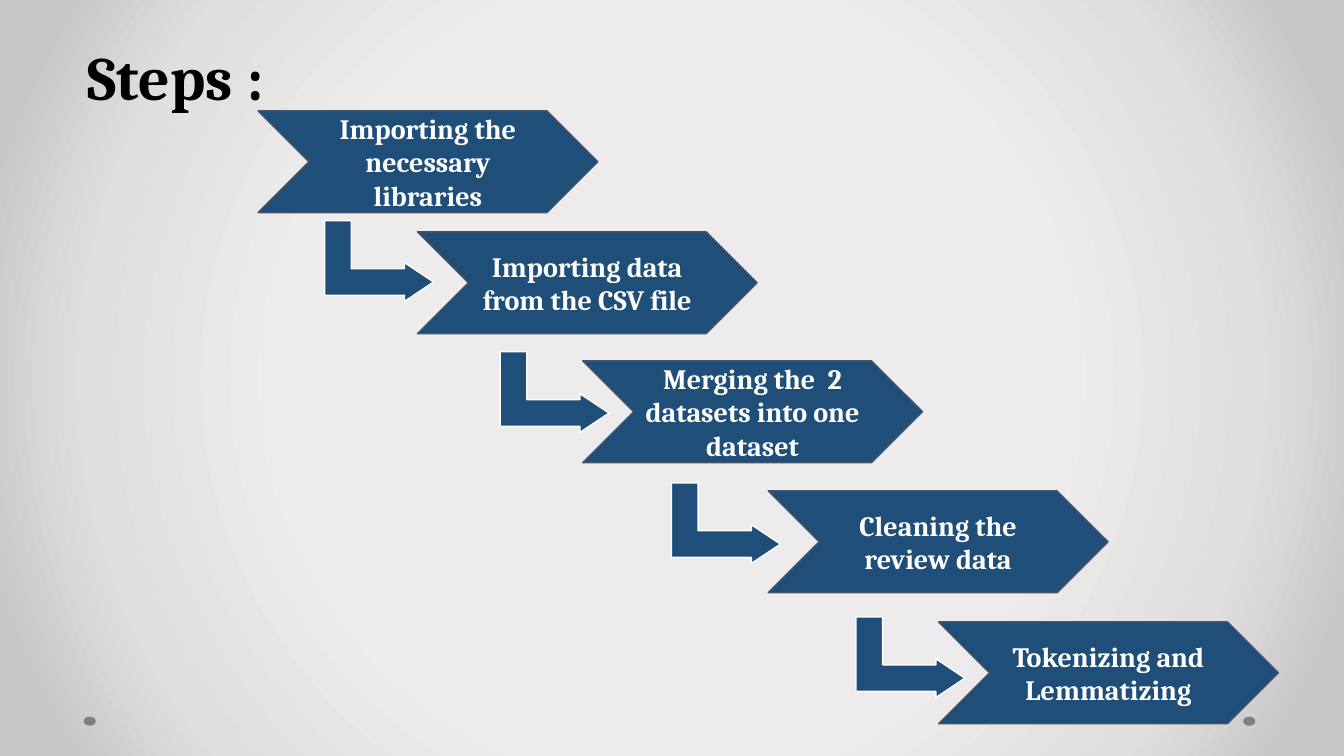
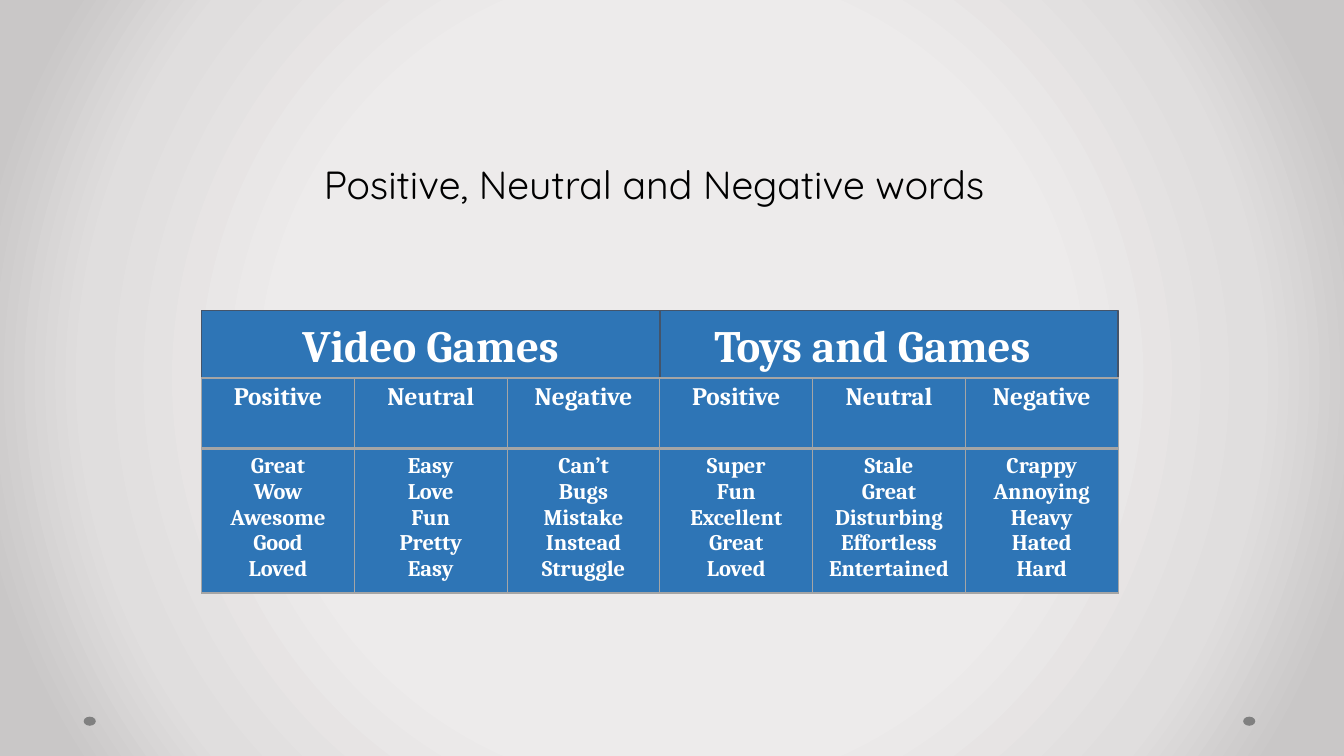
from dataclasses import dataclass

from pptx import Presentation
from pptx import util as u
from pptx.dml.color import RGBColor
from pptx.enum import shapes, text
from pptx.oxml import parse_xml
from pptx.oxml.ns import nsdecls, qn

ALIGN, ANCHOR, KIND = text.PP_ALIGN, text.MSO_ANCHOR, shapes.MSO_SHAPE


@dataclass(frozen=True)
class Theme:
    # Colours
    navy: str = "1F4E79"
    blue: str = "2E75B6"
    slate: str = "44546A"
    rule: str = "A5A5A5"
    dot: str = "808080"
    white: str = "FFFFFF"
    black: str = "000000"
    backdrop: tuple = ((50, "EDEBEB"), (76, "E0DEDE"), (92, "C9C7C7"))
    # Fonts and type sizes
    serif: str = "Cambria"
    sans: str = "Quicksand"
    heading: int = 44
    caption: int = 28
    band: int = 32
    step: int = 20
    column: int = 18
    word: int = 16


THEME = Theme()

# Text, chevron position, position of the elbow arrow leading to it
STEPS = [
    ("Importing the necessary libraries", (2.56, 1.1), None),
    ("Importing data from the CSV file", (4.14, 2.3), (3.36, 2.05)),
    ("Merging the  2 datasets into one dataset", (5.78, 3.58), (5.1, 3.35)),
    ("Cleaning the review data", (7.62, 4.87), (6.8, 4.65)),
    ("Tokenizing and Lemmatizing", (9.31, 6.17), (8.63, 5.98)),
]

WORDS = {
    "Video Games": {
        "Positive": ["Great", "Wow", "Awesome", "Good", "Loved"],
        "Neutral": ["Easy", "Love", "Fun", "Pretty", "Easy"],
        "Negative": ["Can’t", "Bugs", "Mistake", "Instead", "Struggle"],
    },
    "Toys and Games": {
        "Positive": ["Super", "Fun", "Excellent", "Great", "Loved"],
        "Neutral": ["Stale", "Great", "Disturbing", "Effortless", "Entertained"],
        "Negative": ["Crappy", "Annoying", "Heavy", "Hated", "Hard"],
    },
}


def apply(target, formats):
    for key, value in formats.items():
        setattr(target, key, value)


def inches(*lengths):
    return [u.Inches(length) for length in lengths]


def write(frame, lines, size, color=THEME.white, font=THEME.serif, bold=True,
          align=ALIGN.CENTER, spacing=None):
    """Fill a text frame with one paragraph for each line."""
    for index, line in enumerate(lines):
        paragraph = frame.paragraphs[0] if index == 0 else frame.add_paragraph()
        apply(paragraph, {"alignment": align, "line_spacing": spacing})
        run = paragraph.add_run()
        run.text = line
        apply(run.font, {"name": font, "size": u.Pt(size), "bold": bold})
        run.font.color.rgb = RGBColor.from_string(color)


def add_block(slide, kind, box, fill, line=None):
    """Add a flat preset shape; without a line colour it has no outline."""
    block = slide.shapes.add_shape(kind, *inches(*box))
    block.shadow.inherit = False
    block.fill.solid()
    block.fill.fore_color.rgb = RGBColor.from_string(fill)
    if line:
        block.line.color.rgb = RGBColor.from_string(line)
        block.line.width = u.Pt(1)
    else:
        block.line.fill.background()
    return block


def place_title(slide, box, wording, anchor, **style):
    title = slide.shapes.title
    apply(title, dict(zip(("left", "top", "width", "height"), inches(*box))))
    apply(title.text_frame, {"word_wrap": True, "vertical_anchor": anchor,
                             "auto_size": text.MSO_AUTO_SIZE.SHAPE_TO_FIT_TEXT})
    write(title.text_frame, [wording], **style)


def style_master(prs, slide):
    """Give the master its radial backdrop and the two footer dots."""
    master = prs.slide_master
    master.background.fill.solid()
    solid = next(master.element.iter(qn("p:bgPr"))).find(qn("a:solidFill"))
    stops = "".join(f'<a:gs pos="{pos * 1000}"><a:srgbClr val="{color}"/></a:gs>'
                    for pos, color in THEME.backdrop)
    solid.getparent().replace(solid, parse_xml(
        f'<a:gradFill {nsdecls("a")} rotWithShape="1"><a:gsLst>{stops}</a:gsLst>'
        '<a:path path="circle"><a:fillToRect l="50000" t="50000" r="50000" b="50000"/>'
        '</a:path></a:gradFill>'))
    # Dots are drawn on a slide, then moved to the master
    for number, left in enumerate((12.33, 0.83)):
        dot = add_block(slide, KIND.OVAL, (left, 7.11, 0.12, 0.09), THEME.dot)
        next(dot.element.iter(qn("p:cNvPr"))).set("id", str(100 + number))
        master.element.cSld.spTree.append(dot.element)


def add_step(slide, wording, corner):
    chevron = add_block(slide, KIND.CHEVRON, (*corner, 3.37, 1.01),
                        THEME.navy, THEME.slate)
    apply(chevron.text_frame, {"word_wrap": True, "vertical_anchor": ANCHOR.MIDDLE})
    write(chevron.text_frame, [wording], THEME.step)


def add_elbow(slide, corner):
    elbow = add_block(slide, KIND.BENT_UP_ARROW, (*corner, 0.8, 1.08),
                      THEME.navy, THEME.white)
    elbow.rotation = 90
    for index, value in enumerate((0.33, 0.24, 0.36)):
        elbow.adjustments[index] = value


def build_steps(slide):
    place_title(slide, (0.77, 0.34, 2.87, 0.84), "Steps :", ANCHOR.TOP,
                size=THEME.heading, color=THEME.black, align=ALIGN.LEFT)
    for wording, chevron_corner, elbow_corner in STEPS:
        add_step(slide, wording, chevron_corner)
        if elbow_corner:
            add_elbow(slide, elbow_corner)


def add_band(slide, box, wording, align, indent):
    band = add_block(slide, KIND.RECTANGLE, box, THEME.blue, THEME.slate)
    apply(band.text_frame, {"word_wrap": True, "vertical_anchor": ANCHOR.MIDDLE,
                            "margin_left": u.Inches(indent)})
    write(band.text_frame, [wording], THEME.band, align=align)


def format_cell(cell, lines, size, top, bottom):
    """Write a cell; top and bottom are border widths in points."""
    properties = cell._tc.get_or_add_tcPr()
    for side, width in {"L": 1, "R": 1, "T": top, "B": bottom}.items():
        properties.append(parse_xml(
            f'<a:ln{side} {nsdecls("a")} w="{u.Pt(width)}"><a:solidFill>'
            f'<a:srgbClr val="{THEME.rule}"/></a:solidFill></a:ln{side}>'))
    cell.fill.solid()
    cell.fill.fore_color.rgb = RGBColor.from_string(THEME.blue)
    write(cell.text_frame, lines, size)


def add_word_table(slide, box):
    columns = [column for group in WORDS.values() for column in group.items()]
    table = slide.shapes.add_table(2, len(columns), *inches(*box)).table
    apply(table, {"first_row": False, "horz_banding": False})
    for row, height in zip(table.rows, (0.7, 1.43)):
        row.height = u.Inches(height)
    for index, (tone, words) in enumerate(columns):
        table.columns[index].width = u.Inches(box[2] / len(columns))
        format_cell(table.cell(0, index), [tone], THEME.column, top=1, bottom=2)
        format_cell(table.cell(1, index), words, THEME.word, top=2, bottom=1)


def build_words(slide, left=2, top=3.08, width=9.09):
    place_title(slide, (0.54, 1.42, 12, 0.69), "Positive, Neutral and Negative words ",
                ANCHOR.BOTTOM, size=THEME.caption, color=THEME.black,
                font=THEME.sans, bold=False, spacing=u.Pt(48))
    # Category bands above the table
    band_width, band_height = width / len(WORDS), 0.67
    layouts = ((ALIGN.CENTER, 0.1), (ALIGN.LEFT, 0.54))
    for index, (category, (align, indent)) in enumerate(zip(WORDS, layouts)):
        add_band(slide, (left + index * band_width, top, band_width, band_height),
                 category, align, indent)
    add_word_table(slide, (left, top + band_height, width, 2.13))


def main():
    prs = Presentation()
    apply(prs, {"slide_width": u.Inches(13.33), "slide_height": u.Inches(7.5)})
    title_only = prs.slide_layouts[5]
    steps, words = (prs.slides.add_slide(title_only) for _ in range(2))
    style_master(prs, steps)
    build_steps(steps)
    build_words(words)
    prs.save("out.pptx")


if __name__ == "__main__":
    main()
